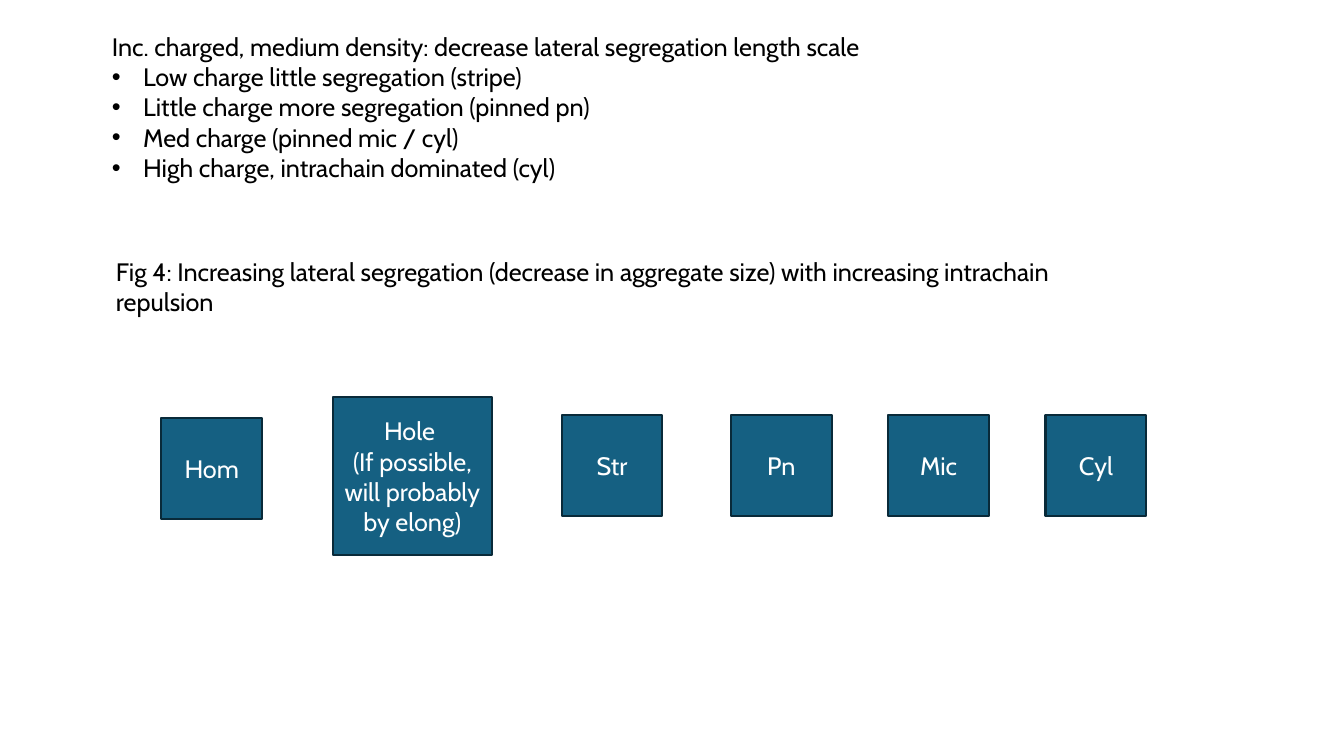
import pptx
import pptx.util
import pptx.dml.color
import pptx.enum.shapes
import pptx.enum.text
import pptx.oxml.ns
import lxml.etree

Inches = pptx.util.Inches
Pt = pptx.util.Pt
RGB = pptx.dml.color.RGBColor.from_string
ALIGN = pptx.enum.text.PP_ALIGN
ANCHOR = pptx.enum.text.MSO_ANCHOR

THEME = {
    "font": "Cabin",
    "size": Pt(18),
    "text": RGB("000000"),
    "box_text": RGB("FFFFFF"),
    "box_fill": RGB("156082"),
    "box_line": RGB("092A39"),
    "box_line_width": Pt(1.5),
}


def add_run(p, text, color):
    r = p.add_run()
    r.text = text
    r.font.name = THEME["font"]
    r.font.size = THEME["size"]
    r.font.color.rgb = color


def place_text(sp, left, top, width, height):
    sp.left, sp.top = Inches(left), Inches(top)
    sp.width, sp.height = Inches(width), Inches(height)
    tf = sp.text_frame
    tf.word_wrap = True
    tf.auto_size = pptx.enum.text.MSO_AUTO_SIZE.SHAPE_TO_FIT_TEXT
    tf.vertical_anchor = ANCHOR.TOP
    return tf


prs = pptx.Presentation()
prs.slide_width = Inches(13.33)
prs.slide_height = Inches(7.5)
s = prs.slides.add_slide(prs.slide_layouts[1])

notes = [
    "Inc. charged, medium density: decrease lateral segregation length scale",
    "Low charge little segregation (stripe)",
    "Little charge more segregation (pinned pn)",
    "Med charge (pinned mic / cyl)",
    "High charge, intrachain dominated (cyl)",
]
tf = place_text(s.placeholders[1], 1.01, 0.26, 11.04, 1.62)
for i, note in enumerate(notes):
    p = tf.paragraphs[0] if i == 0 else tf.add_paragraph()
    pPr = p._p.get_or_add_pPr()
    indent = Inches(0.31) if i else 0
    pPr.set("marL", str(indent))
    pPr.set("indent", str(-indent))
    if i:
        lxml.etree.SubElement(pPr, pptx.oxml.ns.qn("a:buFont"), typeface="Arial")
        lxml.etree.SubElement(pPr, pptx.oxml.ns.qn("a:buChar"), char="•")
    else:
        lxml.etree.SubElement(pPr, pptx.oxml.ns.qn("a:buNone"))
    p.space_before = Pt(0)
    add_run(p, note, THEME["text"])

tf = place_text(s.shapes.title, 1.05, 2.49, 10.32, 0.71)
p = tf.paragraphs[0]
p.alignment = ALIGN.LEFT
add_run(
    p,
    "Fig 4: Increasing lateral segregation (decrease in aggregate size) "
    "with increasing intrachain repulsion",
    THEME["text"],
)

phases = [
    (["Hom"], 1.6, 4.15, 1, 1),
    (["Hole ", "(If possible, will probably by elong)"], 3.3, 3.94, 1.58, 1.57),
    (["Str"], 5.57, 4.12, 1, 1),
    (["Pn"], 7.25, 4.12, 1, 1),
    (["Mic"], 8.81, 4.12, 1, 1),
    (["Cyl"], 10.37, 4.12, 1, 1),
]
for lines, left, top, width, height in phases:
    sp = s.shapes.add_shape(
        pptx.enum.shapes.MSO_SHAPE.RECTANGLE,
        Inches(left), Inches(top), Inches(width), Inches(height),
    )
    sp.shadow.inherit = False
    sp.fill.solid()
    sp.fill.fore_color.rgb = THEME["box_fill"]
    sp.line.color.rgb = THEME["box_line"]
    sp.line.width = THEME["box_line_width"]
    tf = sp.text_frame
    tf.word_wrap = True
    tf.vertical_anchor = ANCHOR.MIDDLE
    p = tf.paragraphs[0]
    p.alignment = ALIGN.CENTER
    for i, line in enumerate(lines):
        if i:
            p.add_line_break()
        add_run(p, line, THEME["box_text"])

prs.save("out.pptx")
